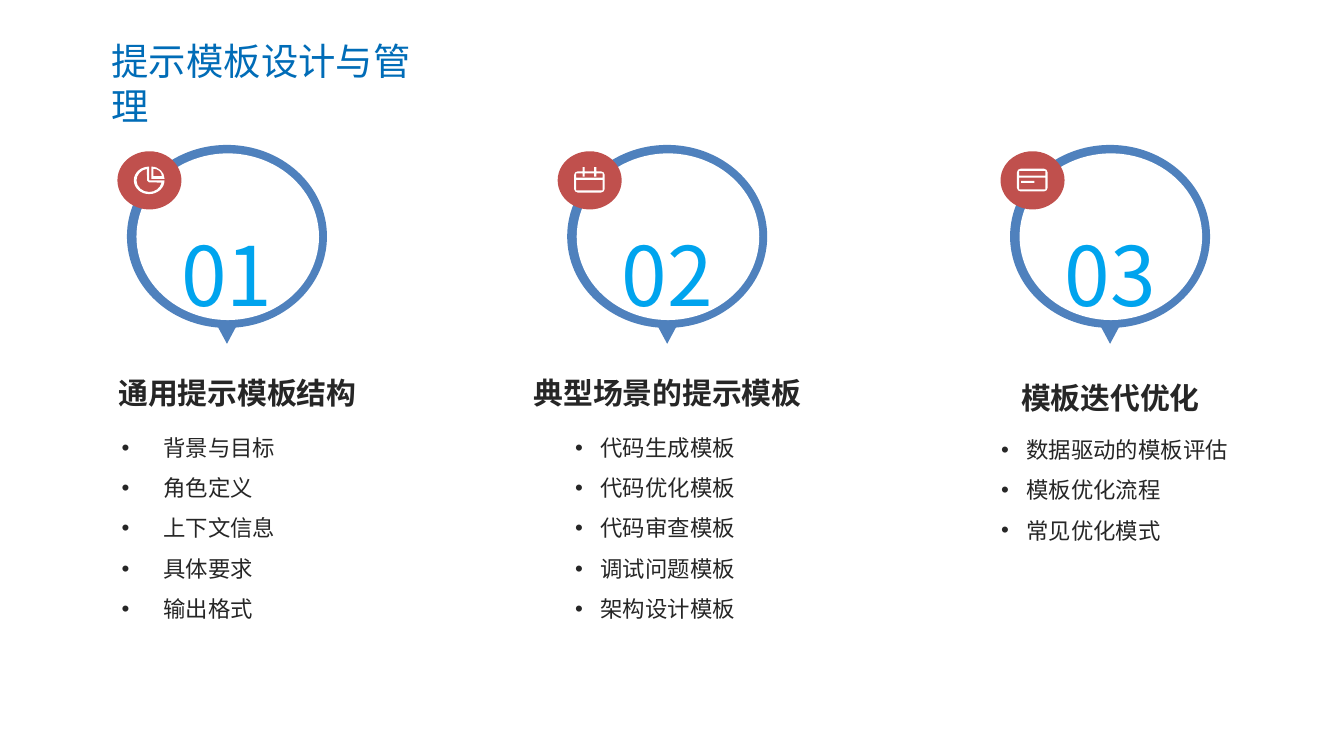
from math import cos, radians, sin, tan

from lxml import etree
from pptx import Presentation
from pptx.dml.color import RGBColor
from pptx.enum.shapes import MSO_SHAPE
from pptx.enum.text import PP_ALIGN
from pptx.oxml.ns import qn
from pptx.util import Cm, Pt

OVAL = MSO_SHAPE.OVAL
CENTER, LEFT = PP_ALIGN.CENTER, PP_ALIGN.LEFT
CJK_FONT, LATIN_FONT = "Noto Sans CJK SC", "Arial"
BLUE, RED, WHITE, INK = "4F81BD", "C0504D", "FFFFFF", "262626"
TITLE_BLUE, NUMBER_BLUE = "006CB7", "00A4EE"
COLUMN_LEFTS, COLUMN_TOP = (2.22, 10.54, 18.91), 2.74


def rgb(code):
    """Return the colour for a hex string."""
    return RGBColor.from_string(code)


def paint(shape, color):
    """Give a shape a flat fill without line or shadow."""
    shape.shadow.inherit = False
    shape.fill.solid()
    shape.fill.fore_color.rgb = rgb(color)
    shape.line.fill.background()


def add_oval(slide, left, top, width, height, color):
    """Add a filled ellipse."""
    paint(slide.shapes.add_shape(OVAL, Cm(left), Cm(top), Cm(width), Cm(height)), color)


def arc(x, y, rx, ry, start, end):
    """Return a line to the start of a clockwise arc, then one Bezier curve."""
    a, b = radians(start), radians(end)
    k = 4 / 3 * tan((b - a) / 4)
    unit = [(cos(a), sin(a)),
            (cos(a) - k * sin(a), sin(a) + k * cos(a)),
            (cos(b) + k * sin(b), sin(b) - k * cos(b)),
            (cos(b), sin(b))]
    points = [(x + rx * u, y + ry * v) for u, v in unit]
    return [points[:1], points[1:]]


def arcs(x, y, rx, ry, *angles):
    """Return joined arcs through the given angles."""
    first, *curves = arc(x, y, rx, ry, *angles[:2])
    for start, end in zip(angles[1:], angles[2:]):
        curves += arc(x, y, rx, ry, start, end)[1:]
    return [first] + curves


def lines(*points):
    """Return straight segments through the points."""
    return [[point] for point in points]


def box(x, y, width, height):
    """Return the outline of a rectangle."""
    return lines((x, y), (x + width, y), (x + width, y + height), (x, y + height))


def rounded(x, y, width, height, r):
    """Return the outline of a rounded rectangle."""
    right, bottom = x + width - r, y + height - r
    corners = [(right, y + r, 270), (right, bottom, 0), (x + r, bottom, 90), (x + r, y + r, 180)]
    return [segment for cx, cy, start in corners
            for segment in arc(cx, cy, r, r, start, start + 90)]


def add_outline(slide, left, top, contours, color):
    """Add one freeform made of closed contours with lines and curves."""
    placed = [[[(Cm(left + x), Cm(top + y)) for x, y in segment] for segment in contour]
              for contour in contours]
    builder = slide.shapes.build_freeform(*placed[0][0][-1])
    for index, contour in enumerate(placed):
        if index:
            builder.move_to(*contour[0][-1])
        builder.add_line_segments([segment[-1] for segment in contour[1:]], close=True)
    shape = builder.convert_to_shape()
    segments = [segment for contour in placed for segment in contour[1:]]
    for line, segment in zip(list(shape._element.iter(qn("a:lnTo"))), segments):
        if len(segment) == 3:
            curve = etree.Element(qn("a:cubicBezTo"))
            for x, y in segment:
                etree.SubElement(curve, qn("a:pt"), x=str(x - shape.left), y=str(y - shape.top))
            line.getparent().replace(line, curve)
    paint(shape, color)


def pie_icon():
    """Return the contours of a pie chart with a raised slice."""
    return [
        lines((0.29, 0.26)) + arcs(0.29, 0.26, 0.29, 0.26, 0, 90, 180, 270),
        lines((0.25, 0.26), (0.29, 0.3)) + arcs(0.29, 0.26, 0.24, 0.22, 11, 90, 180, 260),
        lines((0.33, 0.23)) + arc(0.33, 0.23, 0.25, 0.23, 270, 360),
        lines((0.37, 0.18)) + arc(0.37, 0.18, 0.16, 0.14, 270, 360),
    ]


def calendar_icon():
    """Return the contours of a calendar sheet with two rings."""
    rings = [box(x, y, 0.04, height)
             for x in (0.16, 0.38) for y, height in ((0, 0.08), (0.12, 0.06))]
    return [
        rounded(0, 0.08, 0.58, 0.4, 0.07),
        box(0.04, 0.12, 0.5, 0.08),
        box(0.04, 0.24, 0.5, 0.2),
    ] + rings


def card_icon():
    """Return the contours of a bank card."""
    return [
        rounded(0, 0, 0.58, 0.43, 0.07),
        box(0.04, 0.04, 0.5, 0.09),
        box(0.04, 0.17, 0.5, 0.22),
        box(0.08, 0.23, 0.25, 0.04),
    ]


def add_bullet(paragraph, indent):
    """Give a paragraph a hanging bullet."""
    properties = paragraph._p.get_or_add_pPr()
    properties.set("marL", str(Cm(indent)))
    properties.set("indent", str(-Cm(indent)))
    etree.SubElement(properties, qn("a:buFont"), typeface=LATIN_FONT)
    etree.SubElement(properties, qn("a:buChar"), char="•")


def add_text(slide, area, wording, size, color, font, align=LEFT, spacing=None,
             bold=False, inset=True, indent=None):
    """Add a text box with one paragraph for each string."""
    frame = slide.shapes.add_textbox(*map(Cm, area)).text_frame
    frame.word_wrap = True
    if not inset:
        frame.margin_left = frame.margin_right = frame.margin_top = frame.margin_bottom = 0
    for index, words in enumerate(wording):
        paragraph = frame.add_paragraph() if index else frame.paragraphs[0]
        paragraph.alignment = align
        if spacing:
            paragraph.line_spacing = spacing
        if indent:
            add_bullet(paragraph, indent)
        run = paragraph.add_run()
        run.text = words
        run.font.size, run.font.bold, run.font.name = Pt(size), bold, font
        run.font.color.rgb = rgb(color)
        etree.SubElement(run._r.get_or_add_rPr(), qn("a:ea"), typeface=CJK_FONT)


def add_pin(slide, left, top, number, icon, icon_drop):
    """Draw the numbered pin with its icon badge."""
    pin = arcs(1.89, 1.73, 1.89, 1.73, 95, 180, 270, 360, 445) + lines((1.89, 3.76))
    add_outline(slide, left + 0.18, top, [pin], BLUE)
    add_oval(slide, left + 0.36, top + 0.16, 3.45, 3.15, WHITE)
    add_oval(slide, left, top + 0.12, 1.21, 1.1, RED)
    add_outline(slide, left + 0.31, top + icon_drop, icon, WHITE)
    add_text(slide, (left + 1.04, top + 0.94, 2.06, 1.83), [number], 44,
             NUMBER_BLUE, CJK_FONT, CENTER, 1.3, inset=False)


def add_topic(slide, left, top, heading, heading_at, items, items_at, indent):
    """Write the heading and bullet list of a column."""
    add_text(slide, (left + heading_at[0], top + heading_at[1], 6.78, 1.14), [heading],
             16, INK, LATIN_FONT, CENTER, 1.3, bold=True)
    add_text(slide, (left + items_at[0], top + items_at[1], items_at[2], 3.81), items,
             12, INK, LATIN_FONT, spacing=1.5, inset=False, indent=indent)


def main():
    """Build the slide and save it."""
    deck = Presentation()
    deck.slide_width, deck.slide_height = Cm(25.4), Cm(14.29)
    slide = deck.slides.add_slide(deck.slide_layouts[6])
    add_text(slide, (1.86, 0.6, 6.86, 1.12), ["提示模板设计与管理"], 20,
             TITLE_BLUE, CJK_FONT)
    topics = [
        (pie_icon(), 0.41, "通用提示模板结构", (-1.12, 4.02),
         ["背景与目标", "角色定义", "上下文信息", "具体要求", "输出格式"],
         (0.08, 5.21, 4.88), 0.79),
        (calendar_icon(), 0.42, "典型场景的提示模板", (-1.31, 4.02),
         ["代码生成模板", "代码优化模板", "代码审查模板", "调试问题模板", "架构设计模板"],
         (0.33, 5.21, 4.62), 0.48),
        (card_icon(), 0.45, "模板迭代优化", (-1.31, 4.1),
         ["数据驱动的模板评估", "模板优化流程", "常见优化模式"],
         (0.01, 5.25, 4.65), 0.48),
    ]
    for index, (left, (icon, icon_drop, *topic)) in enumerate(zip(COLUMN_LEFTS, topics), 1):
        add_pin(slide, left, COLUMN_TOP, f"{index:02}", icon, icon_drop)
        add_topic(slide, left, COLUMN_TOP, *topic)
    deck.save("out.pptx")


if __name__ == "__main__":
    main()
